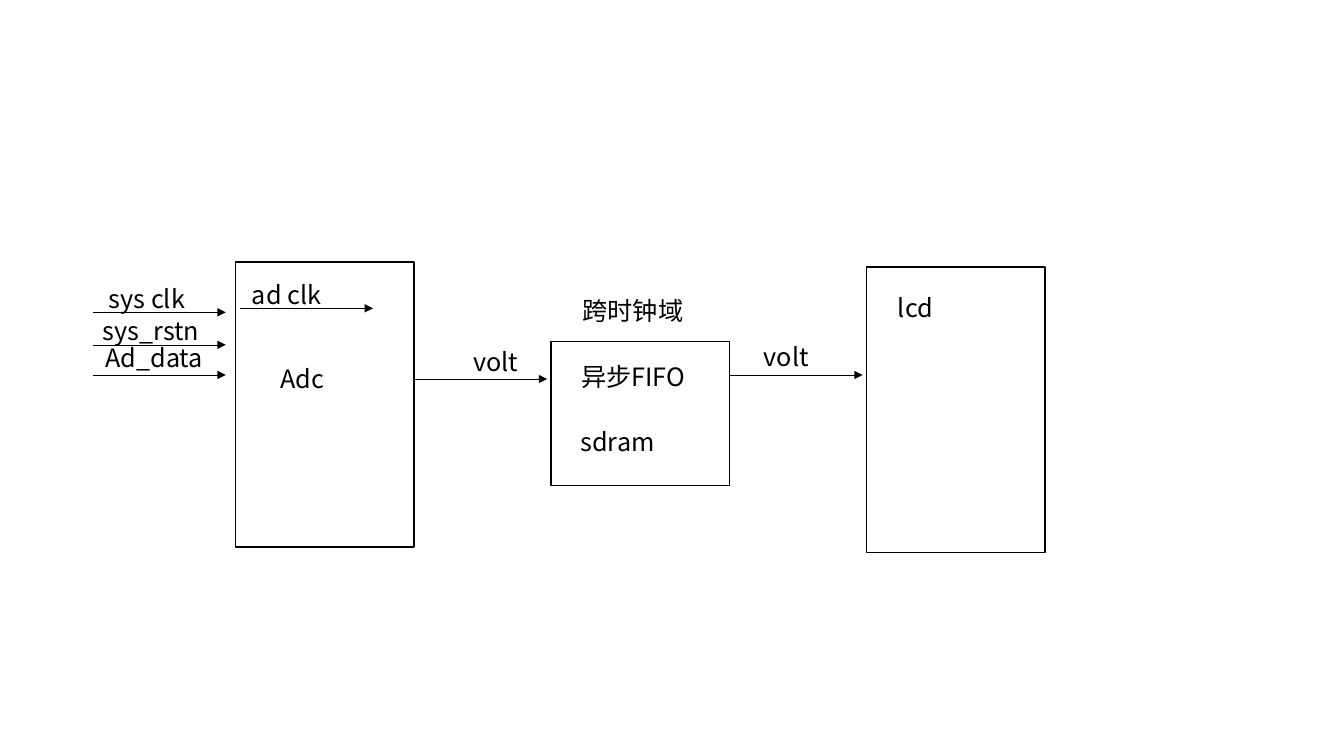
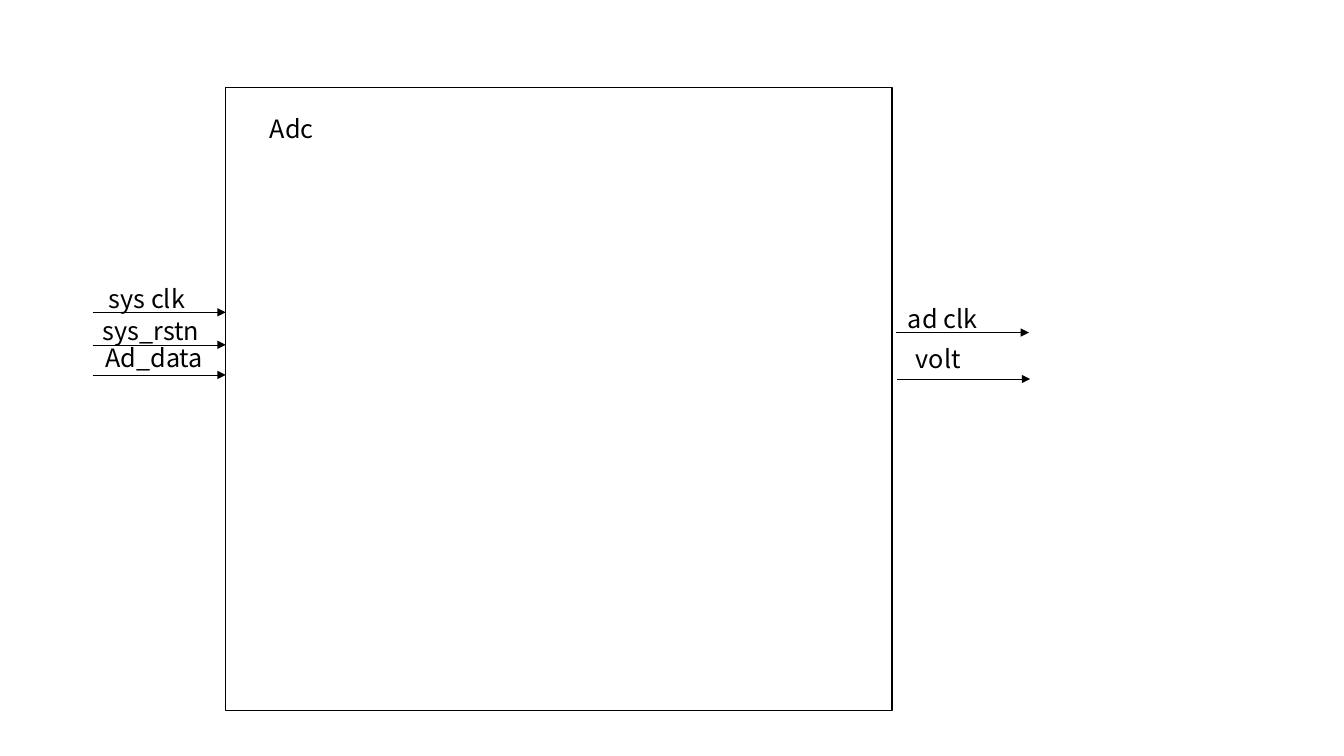
from pptx import Presentation
from pptx.dml.color import RGBColor
from pptx.enum import shapes, text
from pptx.oxml import ns, xmlchemy
from pptx.util import Cm, Pt

COLORS = {"ink": "000000"}
FONT = "Noto Sans CJK SC"
TEXT_SIZE = 18
BOX_LINE, ARROW_LINE = 1, 0.5
ARROW_LENGTH = 3.35
LABEL_WIDTH, LABEL_HEIGHT = 3.4, 1.02
BLOCK_WIDTH, BLOCK_HEIGHT = 4.5, 7.19


class Diagram:
    """Block diagram style and the slide being drawn; lengths are in cm."""

    def __init__(self):
        self.presentation = Presentation()
        self.presentation.slide_width = Cm(33.87)
        self.presentation.slide_height = Cm(19.05)
        self.ink = RGBColor.from_string(COLORS["ink"])
        self.slide = None

    def new_slide(self):
        blank = self.presentation.slide_layouts[6]
        self.slide = self.presentation.slides.add_slide(blank)

    def outline(self, item, width):
        item.line.color.rgb = self.ink
        item.line.width = Pt(width)

    def block(self, left, top, width=BLOCK_WIDTH, height=BLOCK_HEIGHT):
        shape = self.slide.shapes.add_shape(
            shapes.MSO_SHAPE.RECTANGLE, Cm(left), Cm(top), Cm(width), Cm(height))
        shape.shadow.inherit = False
        shape.fill.background()
        self.outline(shape, BOX_LINE)

    def label(self, wording, left, top, width=LABEL_WIDTH):
        box = self.slide.shapes.add_textbox(
            Cm(left), Cm(top), Cm(width), Cm(LABEL_HEIGHT))
        frame = box.text_frame
        frame.word_wrap = True
        frame.auto_size = text.MSO_AUTO_SIZE.SHAPE_TO_FIT_TEXT
        frame.text = wording
        font = frame.paragraphs[0].runs[0].font
        font.name = FONT
        font.size = Pt(TEXT_SIZE)
        font.color.rgb = self.ink
        properties = frame.paragraphs[0].runs[0]._r.get_or_add_rPr()
        east_asian = xmlchemy.OxmlElement("a:ea")
        east_asian.set("typeface", FONT)
        properties.find(ns.qn("a:latin")).addnext(east_asian)

    def arrow(self, left, y):
        connector = self.slide.shapes.add_connector(
            shapes.MSO_CONNECTOR.STRAIGHT,
            Cm(left), Cm(y), Cm(left + ARROW_LENGTH), Cm(y))
        self.outline(connector, ARROW_LINE)
        head = xmlchemy.OxmlElement("a:tailEnd")
        head.set("type", "triangle")
        connector.line._get_or_add_ln().append(head)
        connector._element.spPr.append(xmlchemy.OxmlElement("a:effectLst"))

    def signal(self, name, left, y, indent=0.05, rise=0.86, width=LABEL_WIDTH):
        """Arrow whose label starts indent after its tail and rise above it."""
        self.arrow(left, y)
        self.label(name, left + indent, y - rise, width)

    def adc_inputs(self):
        left = 2.34
        self.signal("sys clk", left, 7.87, 0.15, width=3.71)
        self.signal("sys_rstn", left, 8.69, 0, width=4.19)
        self.signal("Ad_data", left, 9.45, 0.07, 0.94, 3.58)


def draw_system(diagram):
    diagram.new_slide()
    diagram.block(5.94, 6.6)
    diagram.adc_inputs()
    diagram.label("Adc", 6.81, 9.04, 3.02)
    diagram.signal("ad clk", 6.05, 7.77)

    diagram.signal("volt", 10.44, 9.55, 1.24, 0.94)
    diagram.block(13.89, 8.61, height=3.63)
    diagram.label("跨时钟域", 14.43, 7.32)
    diagram.label("异步FIFO", 14.4, 8.99)
    diagram.label("sdram", 14.38, 10.62)

    diagram.signal("volt", 18.39, 9.45, 0.61, 0.97)
    diagram.block(21.84, 6.73)
    diagram.label("lcd", 22.38, 7.24)


def draw_adc(diagram):
    diagram.new_slide()
    diagram.block(5.69, 2.21, 16.79, 15.7)
    diagram.label("Adc", 6.55, 2.72, 1.93)
    diagram.adc_inputs()
    diagram.signal("ad clk", 22.58, 8.38)
    diagram.signal("volt", 22.61, 9.55, 0.22, 1.02)


def main():
    diagram = Diagram()
    draw_system(diagram)
    draw_adc(diagram)
    diagram.presentation.save("out.pptx")


if __name__ == "__main__":
    main()
